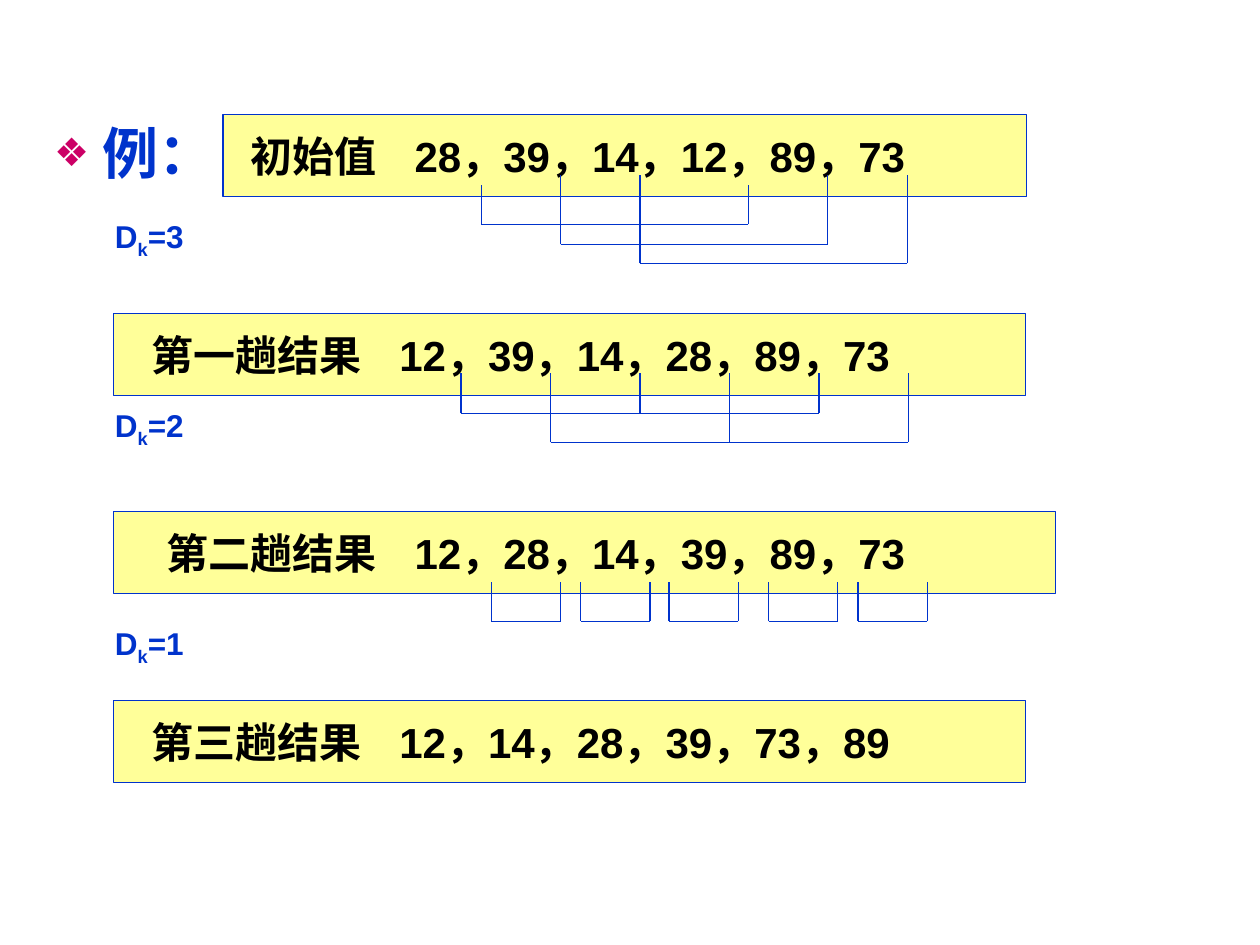
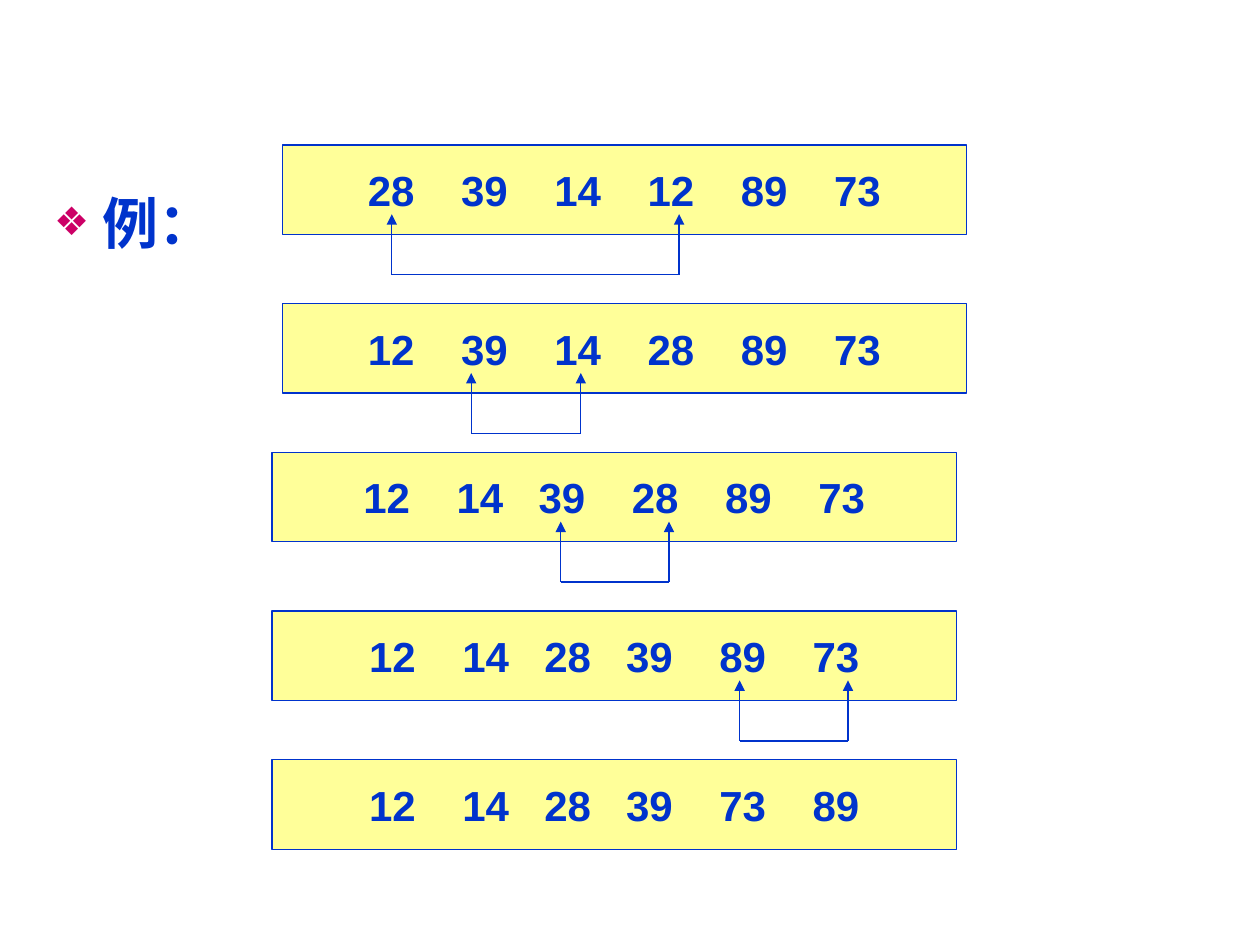
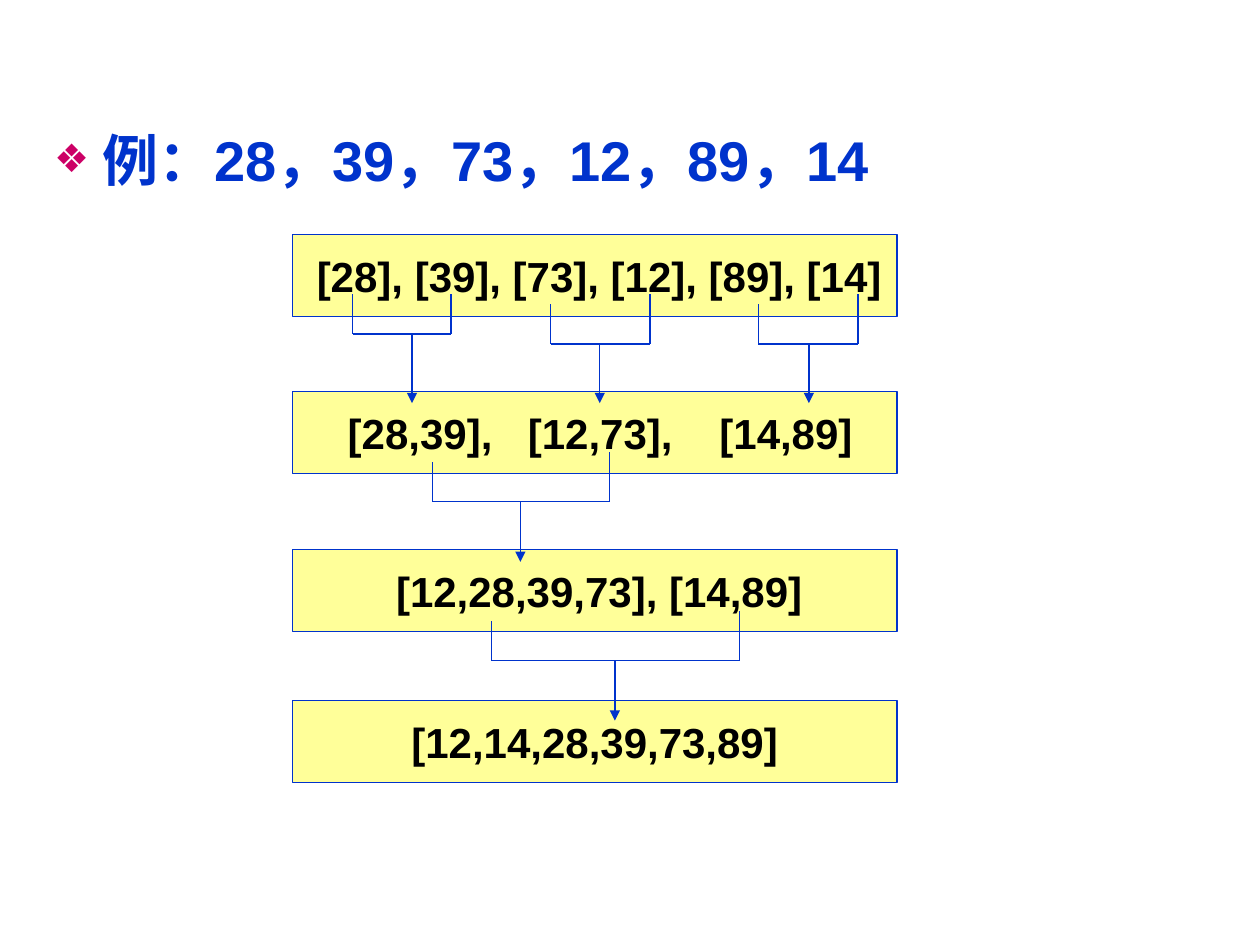
import itertools

import pptx
import pptx.dml.color
import pptx.enum.shapes
import pptx.enum.text
import pptx.util
from lxml import etree
from pptx.oxml import ns
from pptx.util import Inches, Pt

BLUE = pptx.dml.color.RGBColor(0x00, 0x33, 0xCC)
YELLOW = pptx.dml.color.RGBColor(0xFF, 0xFF, 0x99)
BLACK = pptx.dml.color.RGBColor(0x00, 0x00, 0x00)
BULLET = pptx.dml.color.RGBColor(0xCC, 0x00, 0x66)

HEADING_FONT = {"name": "Arial", "size": Pt(32), "bold": True}
ROW_FONT = {"name": "Arial", "size": Pt(24), "bold": True}
LABEL_FONT = {"name": "Arial", "size": Pt(18), "bold": True}


def add_row(s, x, y, w, h, text, color, inset=0.1, tabs=()):
    """Draw a yellow box; text with tab stops starts at the inset, other text is centred."""
    sp = s.shapes.add_shape(pptx.enum.shapes.MSO_SHAPE.RECTANGLE,
                            Inches(x), Inches(y), Inches(w), Inches(h))
    sp.shadow.inherit = False
    sp.fill.solid()
    sp.fill.fore_color.rgb = YELLOW
    sp.line.color.rgb = BLUE
    sp.line.width = Pt(0.75)
    tf = sp.text_frame
    tf.word_wrap = bool(tabs)
    tf.vertical_anchor = pptx.enum.text.MSO_ANCHOR.MIDDLE
    tf.margin_left = Inches(inset)
    tf.margin_right = Inches(0 if tabs else 0.1)
    p = tf.paragraphs[0]
    align = pptx.enum.text.PP_ALIGN
    p.alignment = align.LEFT if tabs else align.CENTER
    r = p.add_run()
    r.text = text
    for key, value in ROW_FONT.items():
        setattr(r.font, key, value)
    r.font.color.rgb = color
    if tabs:
        stops = etree.SubElement(p._p.get_or_add_pPr(), ns.qn("a:tabLst"))
        for pos in tabs:
            etree.SubElement(stops, ns.qn("a:tab"), pos=str(Inches(pos)), algn="l")


def add_bracket(s, x1, x2, top1, top2, bottom, arrows_up=False, stem=None):
    """Group the lines that join two numbers; stem is (x, y) of an arrow going down."""
    segments = [(x1, bottom, x1, top1, arrows_up),
                (x1, bottom, x2, bottom, False),
                (x2, bottom, x2, top2, arrows_up)]
    if stem:
        segments.append((stem[0], bottom, *stem, True))
    grp = s.shapes.add_group_shape()
    for *ends, arrow in segments:
        line = grp.shapes.add_connector(pptx.enum.shapes.MSO_CONNECTOR.STRAIGHT,
                                        *[Inches(v) for v in ends])
        line.line.color.rgb = BLUE
        line.line.width = Pt(0.75)
        if arrow:
            etree.SubElement(line.line._get_or_add_ln(), ns.qn("a:tailEnd"), type="triangle")
        etree.SubElement(line._element.spPr, ns.qn("a:effectLst"))


prs = pptx.Presentation()
prs.slide_width, prs.slide_height = Inches(10), Inches(7.5)

# Headings: text, top, height, line spacing, space before
headings = [
    ("例：", 0.84, 5.58, 1.1, 0),
    ("例：", 1.39, 5.03, 1.1, 8),
    ("例：28，39，73，12，89，14", 0.84, 5.58, 1.2, 0),
]
for text, top, height, spacing, before in headings:
    s = prs.slides.add_slide(prs.slide_layouts[1])
    title = s.shapes.title._element
    title.getparent().remove(title)
    body = s.placeholders[1]
    body.left, body.top = Inches(0.33), Inches(top)
    body.width, body.height = Inches(9.34), Inches(height)
    body.text_frame.auto_size = pptx.enum.text.MSO_AUTO_SIZE.NONE
    p = body.text_frame.paragraphs[0]
    p.line_spacing = spacing
    p.space_before = Pt(before)
    r = p.add_run()
    r.text = text
    for key, value in HEADING_FONT.items():
        setattr(r.font, key, value)
    r.font.color.rgb = BLUE
    pPr = p._p.get_or_add_pPr()
    pPr.set("marL", str(Inches(0.38)))
    pPr.set("indent", str(Inches(-0.38)))
    bullet_color = etree.SubElement(pPr, ns.qn("a:buClr"))
    etree.SubElement(bullet_color, ns.qn("a:srgbClr"), val=str(BULLET))
    etree.SubElement(pPr, ns.qn("a:buSzPct"), val="70000")
    etree.SubElement(pPr, ns.qn("a:buChar"), char="❖")

shell, selection, merge = prs.slides

# Slide 1: Shell sort with gaps 3, 2 and 1
passes = [
    (1.77, 0.91, 6.38, "初始值\t28，39，14，12，89，73", 0.22, 1.3),
    (0.9, 2.49, 7.24, "第一趟结果\t12，39，14，28，89，73", 0.3, 1.97),
    (0.9, 4.06, 7.48, "第二趟结果\t12，28，14，39，89，73", 0.42, 1.97),
    (0.9, 5.56, 7.24, "第三趟结果\t12，14，28，39，73，89", 0.3, 1.97),
]
for x, y, w, text, inset, numbers_at in passes:
    add_row(shell, x, y, w, 0.65, text, BLACK, inset, [numbers_at])

for gap, y in [(3, 1.7), (2, 3.2), (1, 4.93)]:
    label = shell.shapes.add_textbox(Inches(0.83), Inches(y), Inches(0.71), Inches(0.39))
    tf = label.text_frame
    tf.word_wrap = True
    tf.margin_left = tf.margin_right = 0
    tf.vertical_anchor = pptx.enum.text.MSO_ANCHOR.MIDDLE
    p = tf.paragraphs[0]
    p.alignment = pptx.enum.text.PP_ALIGN.CENTER
    for text in ("D", "k", f"={gap}"):
        r = p.add_run()
        r.text = text
        for key, value in LABEL_FONT.items():
            setattr(r.font, key, value)
        r.font.color.rgb = BLUE
        if text == "k":
            r._r.get_or_add_rPr().set("baseline", "-25000")

for i, (top, bottom) in enumerate([(1.47, 1.78), (1.39, 1.94), (1.39, 2.09)]):
    x = 3.82 + 0.63 * i
    add_bracket(shell, x, x + 2.12, top, top, bottom)
for i in range(4):
    x = 3.66 + 0.71 * i
    add_bracket(shell, x, x + 1.42, 2.96, 2.96, (3.28, 3.51)[i % 2])
for x in (3.9, 4.61, 5.31, 6.1, 6.81):
    add_bracket(shell, x, x + 0.55, 4.62, 4.62, 4.93)

# Slide 2: selection sort, with the two numbers swapped in each step
WIDE, NARROW, NUMBER = 0.74, 0.65, 0.37
ROW_WIDTH = 5.43
steps = [
    (2.24, 1.15, "28 39 14 12 89 73", [WIDE] * 5, (3.11, 5.39)),
    (2.24, 2.41, "12 39 14 28 89 73", [WIDE] * 5, (3.74, 4.61)),
    (2.16, 3.59, "12 14 39 28 89 73", [WIDE, NARROW, WIDE, WIDE, WIDE], (4.45, 5.31)),
    (2.16, 4.85, "12 14 28 39 89 73", [WIDE, NARROW, NARROW, WIDE, WIDE], (5.87, 6.73)),
    (2.16, 6.03, "12 14 28 39 73 89", [WIDE, NARROW, NARROW, WIDE, WIDE], None),
]
for x, y, numbers, pitches, swap in steps:
    inset = (ROW_WIDTH - sum(pitches) - NUMBER) / 2
    add_row(selection, x, y, ROW_WIDTH, 0.71, numbers.replace(" ", "\t"), BLUE,
            inset, list(itertools.accumulate(pitches)))
    if swap:
        add_bracket(selection, *swap, y + 0.55, y + 0.55, y + 1.03, arrows_up=True)

# Slide 3: merge sort
merge_rows = [
    (1.86, "[28], [39], [73], [12], [89], [14]", 0.17, ()),
    (3.11, "[28,39],\t[12,73],\t[14,89]", 0.44, (1.43, 2.95)),
    (4.36, "[12,28,39,73], [14,89]", 0.17, ()),
    (5.56, "[12,14,28,39,73,89]", 0.1, ()),
]
for y, text, inset, tabs in merge_rows:
    add_row(merge, 2.32, y, 4.8, 0.65, text, BLACK, inset, tabs)

merges = [
    (2.8, 3.58, 2.33, 2.33, 2.65, (3.27, 3.2)),
    (4.37, 5.16, 2.41, 2.33, 2.73, (4.76, 3.2)),
    (6.02, 6.81, 2.41, 2.33, 2.73, (6.42, 3.2)),
    (3.43, 4.84, 3.67, 3.59, 3.98, (4.13, 4.46)),
    (3.9, 5.87, 4.93, 4.85, 5.24, (4.88, 5.72)),
]
for *bracket, stem in merges:
    add_bracket(merge, *bracket, stem=stem)

prs.save("out.pptx")
